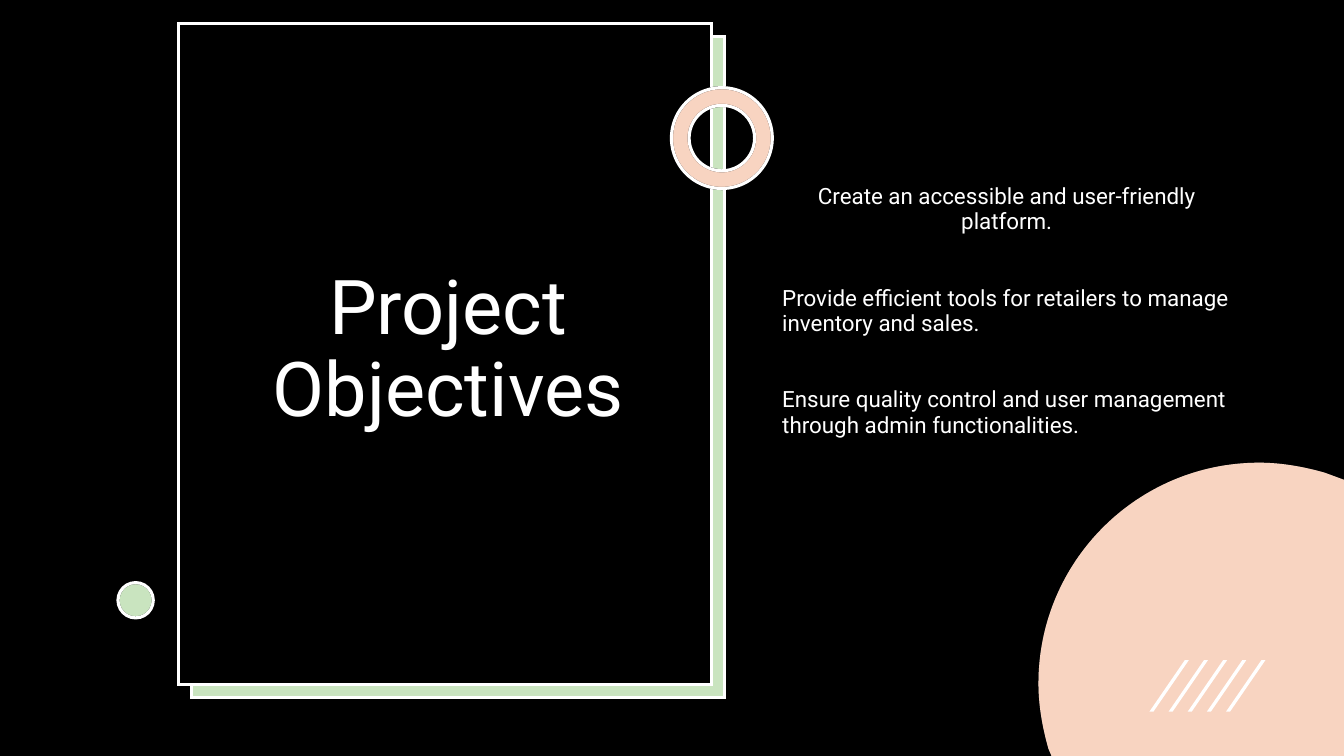
"""Build the Project Objectives slide."""
from dataclasses import dataclass

from lxml.etree import SubElement
from pptx import Presentation
from pptx.dml.color import RGBColor
from pptx.enum.shapes import MSO_SHAPE as Shape
from pptx.enum.text import MSO_ANCHOR as Anchor, PP_ALIGN as Align
from pptx.oxml.ns import qn
from pptx.util import Inches, Pt


@dataclass(frozen=True)
class Theme:
    """Colours, font and sizes of the slide."""
    black: str = "000000"
    white: str = "FFFFFF"
    green: str = "4EA72E"
    orange: str = "E97132"
    tint: int = 30
    font: str = "Roboto"
    title_size: float = 54
    body_size: float = 16
    outline: float = 2.25


class SlideBuilder:
    """Draws styled elements on one slide."""

    def __init__(self, slide, theme):
        """Keep the slide and its theme."""
        self.slide = slide
        self.theme = theme

    def group(self):
        """Return the shapes of a new group."""
        return self.slide.shapes.add_group_shape().shapes

    def paint(self, figure, color, line=None, alpha=None):
        """Fill and outline a figure, without shadow."""
        figure.shadow.inherit = False
        figure.fill.solid()
        figure.fill.fore_color.rgb = RGBColor.from_string(color)
        properties = figure.element.spPr
        if alpha:
            rgb = properties.find(qn("a:solidFill"))[0]
            SubElement(rgb, qn("a:alpha"), val=str(alpha * 1000))
        if line:
            figure.line.color.rgb = RGBColor.from_string(line)
            figure.line.width = Pt(self.theme.outline)
            SubElement(properties.find(qn("a:ln")), qn("a:miter"), lim="800000")
        else:
            figure.line.fill.background()

    def shape(self, kind, box, color, line=None, alpha=None, parent=None, adjust=None):
        """Add a preset shape."""
        shapes = self.slide.shapes if parent is None else parent
        figure = shapes.add_shape(kind, *map(Inches, box))
        if adjust is not None:
            figure.adjustments[0] = adjust
        self.paint(figure, color, line, alpha)

    def tinted(self, kind, box, color, parent=None, adjust=None):
        """Add a pale outlined shape over a white base."""
        theme = self.theme
        self.shape(kind, box, theme.white, theme.black, None, parent, adjust)
        self.shape(kind, box, color, theme.white, theme.tint, parent, adjust)

    def outline(self, start, steps, color, alpha=None, parent=None):
        """Add a closed outline; a step has one point, or three for a curve."""
        shapes = self.slide.shapes if parent is None else parent
        builder = shapes.build_freeform(*map(Inches, start))
        points = [(Inches(x), Inches(y)) for step in steps for x, y in step]
        builder.add_line_segments(points, close=True)
        figure = builder.convert_to_shape()
        segments = iter(list(figure.element.iter(qn("a:lnTo"))))
        for step in steps:
            segment = next(segments)
            if len(step) == 3:
                segment.tag = qn("a:cubicBezTo")
                for _ in range(2):
                    extra = next(segments)
                    segment.append(extra[0])
                    extra.getparent().remove(extra)
        self.paint(figure, color, alpha=alpha)

    def text(self, box, lines, size, spacing, anchor=Anchor.TOP, after=0):
        """Add a text box from pairs of wording and alignment."""
        frame = self.slide.shapes.add_textbox(*map(Inches, box)).text_frame
        frame.word_wrap = True
        frame.vertical_anchor = anchor
        frame.text = "\n".join(wording for wording, _ in lines)
        for paragraph, (_, align) in zip(frame.paragraphs, lines):
            paragraph.alignment = align
            paragraph.line_spacing = spacing
            paragraph.space_after = Pt(after)
            font = paragraph.runs[0].font
            font.name = self.theme.font
            font.size = Pt(size)
            font.color.rgb = RGBColor.from_string(self.theme.white)


def main():
    """Build and save the slide."""
    theme = Theme()
    width, height = 13.33, 7.5
    deck = Presentation()
    deck.slide_width, deck.slide_height = Inches(width), Inches(height)
    page = SlideBuilder(deck.slides.add_slide(deck.slide_layouts[6]), theme)

    page.shape(Shape.RECTANGLE, (0, 0, width, height), theme.black)
    page.tinted(Shape.RECTANGLE, (1.9, 0.36, 5.29, 6.56), theme.green, page.group())
    page.shape(Shape.RECTANGLE, (1.77, 0.23, 5.29, 6.56), theme.black, theme.white)
    page.text((2.22, 0.56, 4.45, 5.84), [("Project Objectives", Align.CENTER)],
              theme.title_size, 0.9, Anchor.MIDDLE)

    disc_top = (12.49, 4.59)
    disc_steps = [
        [(12.71, 4.59), (12.93, 4.63), (13.14, 4.69)],
        [(width, 4.76)], [(width, height)], [(10.43, height)], [(10.4, 7.43)],
        [(10.34, 7.22), (10.3, 7), (10.3, 6.78)],
        [(10.3, 5.57), (11.28, 4.59), disc_top],
    ]
    page.outline(disc_top, disc_steps, theme.white)
    page.outline(disc_top, disc_steps, theme.orange, theme.tint)

    objectives = [
        ("Create an accessible and user-friendly platform.", Align.CENTER),
        ("Provide efficient tools for retailers to manage inventory and sales.", Align.LEFT),
        ("Ensure quality control and user management through admin functionalities.", Align.LEFT),
    ]
    page.text((7.66, 1.78, 4.65, 3.52), objectives, theme.body_size, 0.94, after=36.5)

    page.tinted(Shape.DONUT, (6.66, 0.87, 1, 1), theme.orange, adjust=0.175)
    page.tinted(Shape.OVAL, (1.17, 5.78, 0.35, 0.35), theme.green)

    stripes = page.group()
    top, bottom, thickness, slant, pitch = 6.55, 7.06, 0.04, 0.35, 0.19
    for index in range(5):
        left = 11.4 + index * pitch
        page.outline((left + thickness, bottom),
                     [[(left, bottom)], [(left + slant, top)],
                      [(left + slant + thickness, top)]], theme.white, parent=stripes)

    deck.save("out.pptx")


if __name__ == "__main__":
    main()
